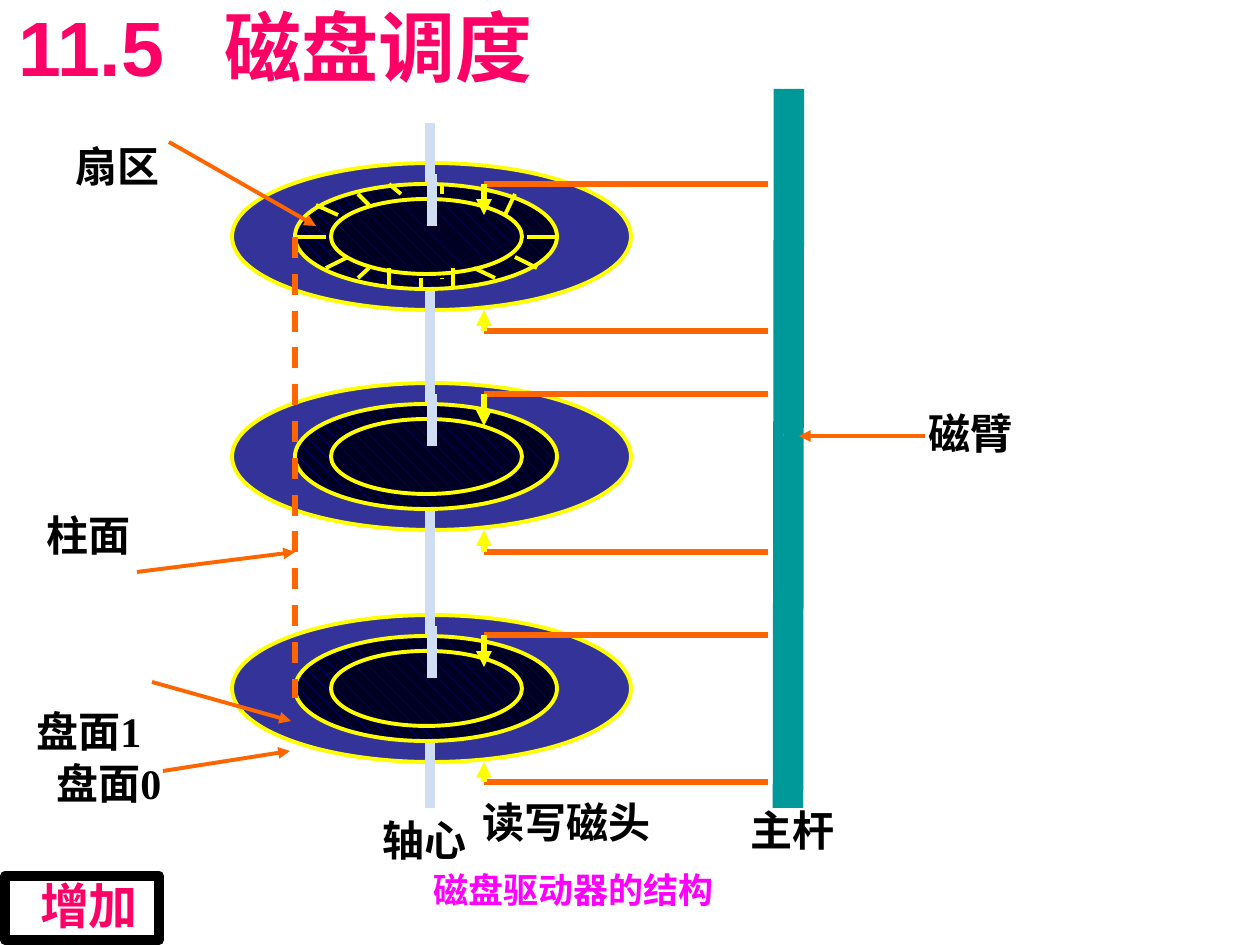
import pptx
import pptx.util
import pptx.dml.color
import pptx.enum.dml
import pptx.enum.shapes
import pptx.enum.text
import pptx.oxml.ns
import lxml.etree

PX = 914400 / 126
ORANGE, YELLOW, TEAL, PALE = "FF6600", "FFFF00", "009999", "CFDEF3"
NAVY, DARK, STRIPE = "333399", "000022", "0000D0"
PINK, PURPLE, BLACK = "FF0066", "FF00FF", "000000"

TITLE = "11.5\t磁盘调度"
CAPTION = "磁盘驱动器的结构"
BADGE = "增加"

# top of disk, top arm, tip of top head, bottom arm
DISKS = [(163, 184, 215, 331), (383, 394, 426, 552), (615, 635, 667, 782)]
# left, drop from top of disk, width, height
RINGS = [(295, 21, 262, 105), (331, 36, 191, 75)]
DISK_X, DISK_W, DISK_H = 232, 399, 147
HEAD_X, ARM_END = 484, 768
ROD_X, ROD_STEP, ROD_TOP, ROD_END = 779, 10, 89, 808

# sector borders on the top disk
TICKS = [
    (326, 237, 295, 237), (348, 257, 326, 268), (338, 215, 316, 205),
    (369, 205, 358, 194), (369, 268, 358, 278), (389, 268, 389, 289),
    (421, 278, 421, 289), (442, 278, 442, 279), (453, 268, 453, 289),
    (474, 268, 495, 278), (515, 257, 537, 268), (527, 237, 558, 237),
    (505, 215, 515, 194), (389, 184, 401, 194), (442, 184, 442, 194),
]
POINTERS = [
    (137, 572, 295, 552), (169, 142, 316, 226), (925, 436, 799, 436),
    (163, 771, 290, 751), (152, 682, 291, 721),
]
# text, left, top, width, wrap
LABELS = [
    ("柱面", 34, 503, 110, False), ("扇区", 63, 134, 110, False),
    ("磁臂", 916, 401, 110, False), ("读写磁头", 470, 790, 247, True),
    ("轴心", 370, 808, 129, True), ("主杆", 738, 798, 129, True),
    ("盘面0", 44, 751, 189, True), ("盘面1", 24, 699, 189, True),
]


def emu(*vals):
    return [round(v * PX) for v in vals]


def rgb(code):
    return pptx.dml.color.RGBColor.from_string(code)


def node(parent, tag, **attrs):
    return lxml.etree.SubElement(parent, pptx.oxml.ns.qn(tag), attrs)


def style(frame, size, font, color):
    for run in frame.paragraphs[0].runs:
        run.font.size = pptx.util.Pt(size)
        run.font.name = font
        run.font.bold = True
        run.font.color.rgb = rgb(color)


def pad(frame, left=0):
    frame.margin_left = emu(left)[0]
    frame.margin_right = frame.margin_top = frame.margin_bottom = 0


def line(shapes, ends, color, width, arrow=False, dash=False):
    kind = pptx.enum.shapes.MSO_CONNECTOR.STRAIGHT
    item = shapes.add_connector(kind, *emu(*ends))
    item.line.color.rgb = rgb(color)
    item.line.width = pptx.util.Pt(width)
    if dash:
        item.line.dash_style = pptx.enum.dml.MSO_LINE.DASH
    if arrow:
        node(item.line._get_or_add_ln(), "a:tailEnd", type="triangle")
    node(item._element.spPr, "a:effectLst")


def oval(shapes, box, striped):
    kind = pptx.enum.shapes.MSO_SHAPE.OVAL
    item = shapes.add_shape(kind, *emu(*box))
    item.shadow.inherit = False
    if striped:
        item.fill.patterned()
        item.fill.pattern = pptx.enum.dml.MSO_PATTERN.SHINGLE
        item.fill.fore_color.rgb = rgb(STRIPE)
        item.fill.back_color.rgb = rgb(DARK)
    else:
        item.fill.solid()
        item.fill.fore_color.rgb = rgb(NAVY)
    item.line.color.rgb = rgb(YELLOW)
    item.line.width = pptx.util.Pt(2.25)


def label(shapes, text, box, wrap, size, font, color):
    frame = shapes.add_textbox(*emu(*box)).text_frame
    frame.text = text
    frame.word_wrap = wrap
    frame.auto_size = pptx.enum.text.MSO_AUTO_SIZE.SHAPE_TO_FIT_TEXT
    style(frame, size, font, color)
    return frame


def head(slide):
    title = slide.shapes.title
    title.left, title.top, title.width, title.height = emu(6, -3, 1134, 98)
    frame = title.text_frame
    para = frame.paragraphs[0]
    para.text = TITLE
    para.alignment = pptx.enum.text.PP_ALIGN.LEFT
    frame.vertical_anchor = pptx.enum.text.MSO_ANCHOR.MIDDLE
    tabs = node(para._p.get_or_add_pPr(), "a:tabLst")
    node(tabs, "a:tab", pos=str(emu(206)[0]), algn="l")
    style(frame, 44, "Arial", PINK)


def drive(shapes):
    for top, *_ in DISKS:
        oval(shapes, (DISK_X, top, DISK_W, DISK_H), False)
    line(shapes, (430, 123, 430, 808), PALE, 6)
    for i in range(3):
        x = ROD_X + i * ROD_STEP
        line(shapes, (x, ROD_TOP, x - 1, ROD_END), TEAL, 6)
    for top, upper, tip, lower in DISKS:
        for x, drop, w, h in RINGS:
            oval(shapes, (x, top + drop, w, h), True)
        for arm, end in ((upper, tip), (lower, top + DISK_H)):
            line(shapes, (ARM_END, arm, HEAD_X, arm), ORANGE, 3)
            line(shapes, (HEAD_X, arm, HEAD_X, end), YELLOW, 3, arrow=True)
        line(shapes, (432, top + 11, 432, top + 63), PALE, 6)
    for ends in TICKS:
        line(shapes, ends, YELLOW, 2.25)
    line(shapes, (295, 237, 295, 698), ORANGE, 3, dash=True)


def notes(shapes):
    for ends in POINTERS:
        line(shapes, ends, ORANGE, 2.25, arrow=True)
    for text, x, y, w, wrap in LABELS:
        frame = label(shapes, text, (x, y, w, 63), wrap,
                      24, "Times New Roman", BLACK)
        frame.vertical_anchor = pptx.enum.text.MSO_ANCHOR.MIDDLE
    frame = label(shapes, CAPTION, (142, 868, 863, 42), True,
                  20, "Arial", PURPLE)
    pad(frame)
    frame.paragraphs[0].alignment = pptx.enum.text.PP_ALIGN.CENTER


def badge(shapes):
    kind = pptx.enum.shapes.MSO_SHAPE.RECTANGLE
    item = shapes.add_shape(kind, *emu(5, 876, 154, 64))
    item.shadow.inherit = False
    item.fill.background()
    item.line.color.rgb = rgb(BLACK)
    item.line.width = pptx.util.Pt(6)
    frame = item.text_frame
    frame.text = BADGE
    frame.vertical_anchor = pptx.enum.text.MSO_ANCHOR.TOP
    frame.paragraphs[0].alignment = pptx.enum.text.PP_ALIGN.CENTER
    pad(frame, 14)
    style(frame, 28, "Montserrat", PINK)


def main():
    deck = pptx.Presentation()
    deck.slide_width, deck.slide_height = emu(1260, 945)
    slide = deck.slides.add_slide(deck.slide_layouts[5])
    head(slide)
    drive(slide.shapes)
    notes(slide.shapes)
    badge(slide.shapes)
    deck.save("out.pptx")


if __name__ == "__main__":
    main()
